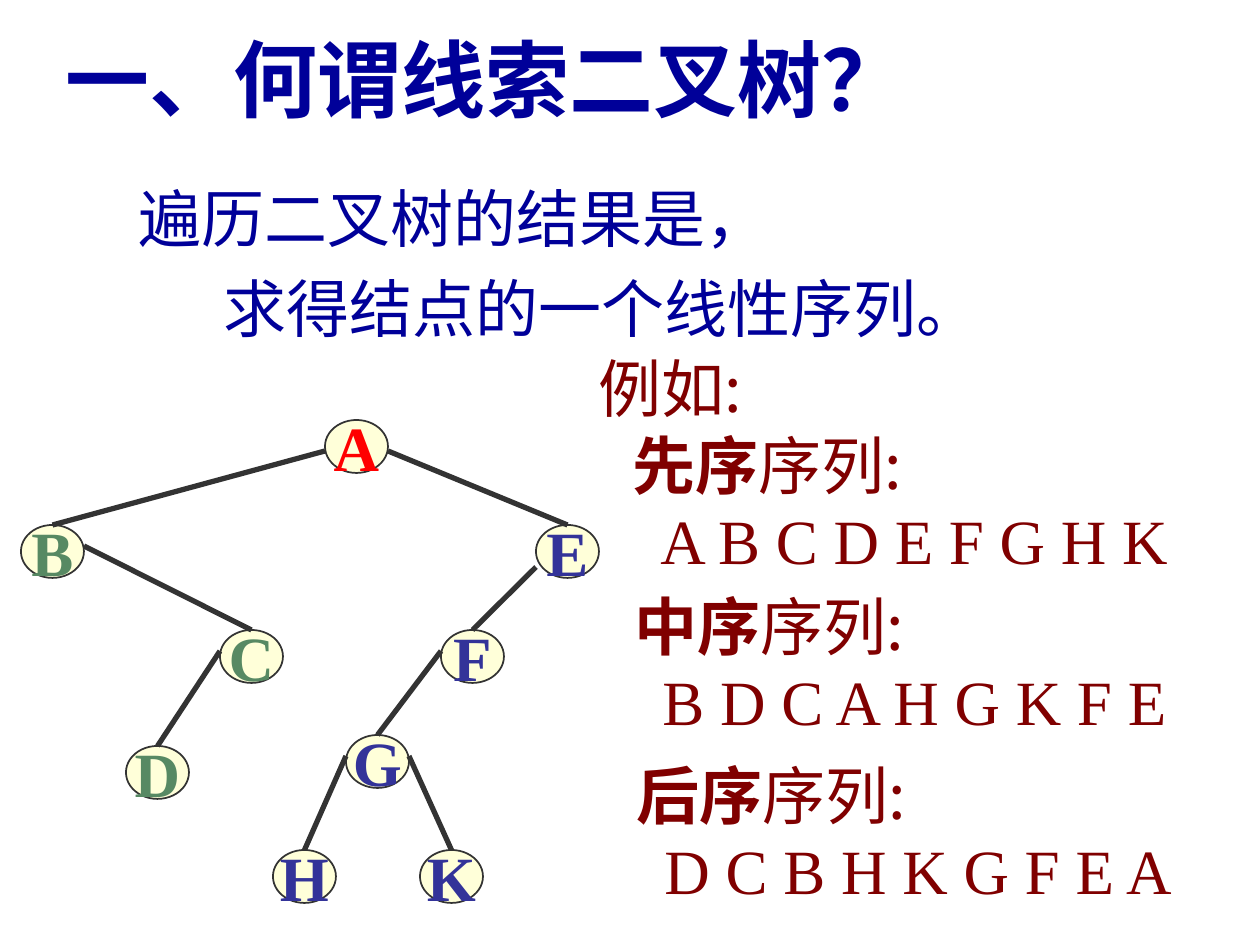
from lxml import etree
from pptx import Presentation
from pptx.dml.color import RGBColor
from pptx.enum.shapes import MSO_CONNECTOR, MSO_SHAPE
from pptx.enum.text import MSO_ANCHOR, PP_ALIGN
from pptx.oxml.ns import qn
from pptx.util import Pt

STRAIGHT = MSO_CONNECTOR.STRAIGHT
OVAL = MSO_SHAPE.OVAL
MIDDLE = MSO_ANCHOR.MIDDLE
CENTER = PP_ALIGN.CENTER

SCALE = 914400 / 126
SERIF, SANS = "Times New Roman", "Noto Sans CJK SC"
COLORS = {
    "navy": "000099", "maroon": "800000", "red": "FF0000", "green": "578963",
    "indigo": "333399", "cream": "FFFFD9", "ink": "333333",
}

TITLE = "一、何谓线索二叉树？"
INTRO = [("遍历二叉树的结果是，", 126), ("求得结点的一个线性序列。", 211)]
EXAMPLE = "例如:"
ORDERS = [
    ("先序", "A B C D E F G H K", 620, 420),
    ("中序", "B D C A H G K F E", 622, 581),
    ("后序", "D C B H K G F E A", 624, 750),
]
SEQUENCE_INDENT = 28

NODE_WIDTH, NODE_HEIGHT = 63, 53
NODES = {
    "A": (325, 420, "red"),
    "B": (21, 525, "green"),
    "C": (220, 630, "green"),
    "D": (126, 746, "green"),
    "E": (536, 525, "indigo"),
    "F": (441, 630, "indigo"),
    "G": (346, 735, "indigo"),
    "H": (273, 850, "indigo"),
    "K": (420, 850, "indigo"),
}
EDGES = ["AB", "BC", "CD", "AE", "EF", "FG", "GH", "GK"]
EXIT_DROP = {"A": 31, "B": 21, "C": 21, "E": 42, "F": 21, "G": 21}


def px(value):
    return round(value * SCALE)


def color(name):
    return RGBColor.from_string(COLORS[name])


def add_span(para, text, hue, size=36, font=SERIF, bold=False):
    span = para.add_run()
    span.text = text
    span.font.name = font
    span.font.size = Pt(size)
    span.font.bold = bold
    span.font.color.rgb = color(hue)


def indent(para, amount):
    properties = para._p.get_or_add_pPr()
    properties.set("marL", str(px(amount)))
    properties.set("indent", "0")


def add_box(page, left, top, width, height):
    box = page.shapes.add_textbox(px(left), px(top), px(width), px(height))
    box.text_frame.word_wrap = True
    return box.text_frame


def add_node(page, label):
    left, top, hue = NODES[label]
    node = page.shapes.add_shape(OVAL, px(left), px(top), px(NODE_WIDTH), px(NODE_HEIGHT))
    node.shadow.inherit = False
    node.fill.solid()
    node.fill.fore_color.rgb = color("cream")
    node.line.color.rgb = color("ink")
    node.line.width = Pt(1)
    frame = node.text_frame
    frame.word_wrap = False
    frame.vertical_anchor = MIDDLE
    para = frame.paragraphs[0]
    para.alignment = CENTER
    add_span(para, label, hue, bold=True)


def add_edge(page, parent, child):
    parent_left, parent_top, _ = NODES[parent]
    child_left, child_top, _ = NODES[child]
    start_x = parent_left + (NODE_WIDTH if child_left > parent_left else 0)
    start_y = parent_top + EXIT_DROP[parent]
    end_x = child_left + NODE_WIDTH / 2
    edge = page.shapes.add_connector(STRAIGHT, px(start_x), px(start_y), px(end_x), px(child_top))
    edge.line.color.rgb = color("ink")
    edge.line.width = Pt(3)
    etree.SubElement(edge._element.spPr, qn("a:effectLst"))


def add_order(page, name, sequence, left, top):
    frame = add_box(page, left, top, 612, 164)
    heading = frame.paragraphs[0]
    add_span(heading, name, "maroon", font=SANS, bold=True)
    add_span(heading, "序列:", "maroon", font=SANS)
    para = frame.add_paragraph()
    indent(para, SEQUENCE_INDENT)
    add_span(para, sequence, "maroon")


def main():
    deck = Presentation()
    deck.slide_width, deck.slide_height = px(1260), px(945)
    page = deck.slides.add_slide(deck.slide_layouts[6])

    title = add_box(page, 53, 21, 945, 113)
    add_span(title.paragraphs[0], TITLE, "navy", size=48, bold=True)

    intro = add_box(page, 0, 158, 1166, 194)
    for index, (text, margin) in enumerate(INTRO):
        para = intro.add_paragraph() if index else intro.paragraphs[0]
        indent(para, margin)
        para.line_spacing = 1.2
        add_span(para, text, "navy")

    for label in NODES:
        add_node(page, label)
    for parent, child in EDGES:
        add_edge(page, parent, child)

    example = add_box(page, 586, 343, 204, 88)
    add_span(example.paragraphs[0], EXAMPLE, "maroon", font=SANS)
    for order in ORDERS:
        add_order(page, *order)

    deck.save("out.pptx")


if __name__ == "__main__":
    main()
